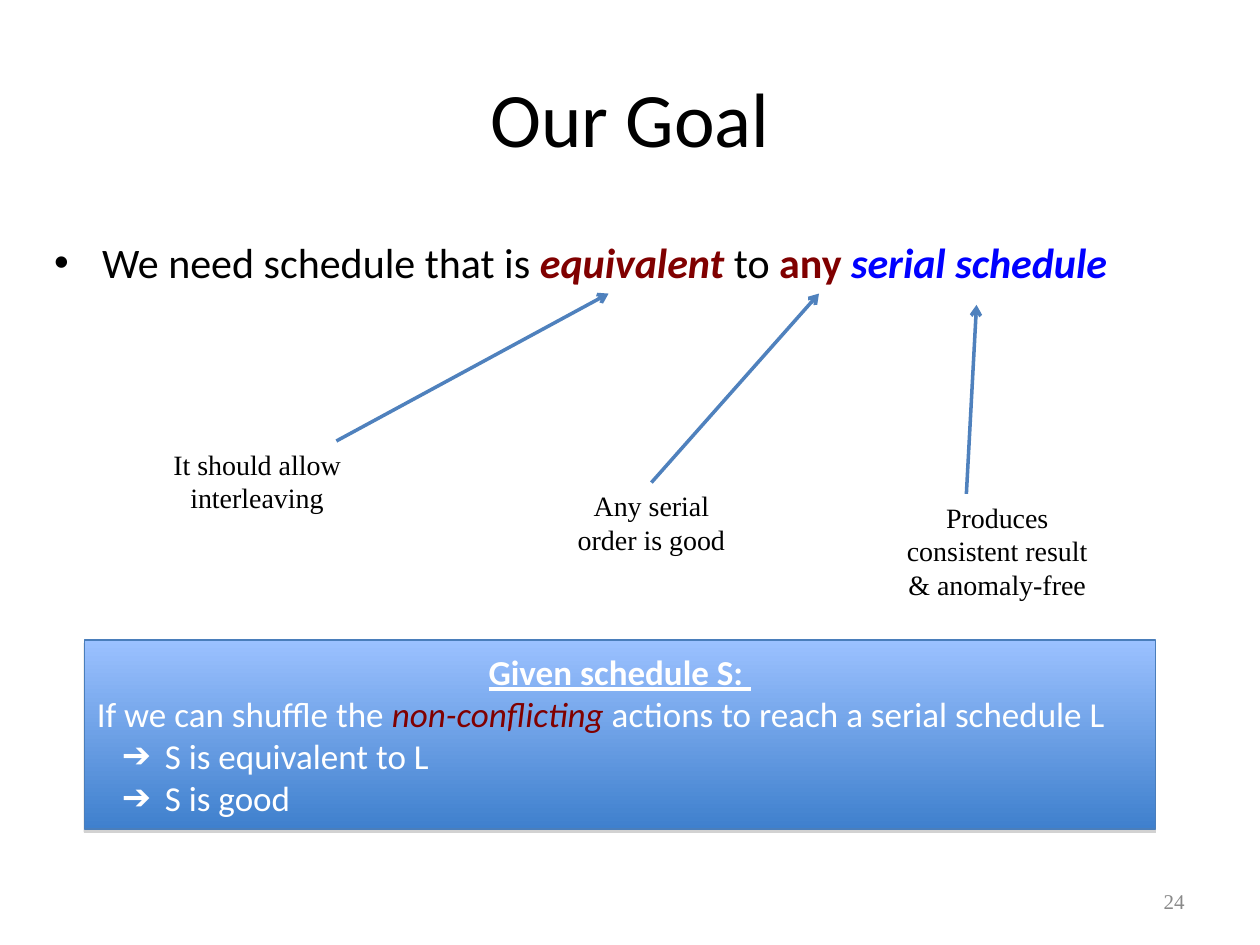
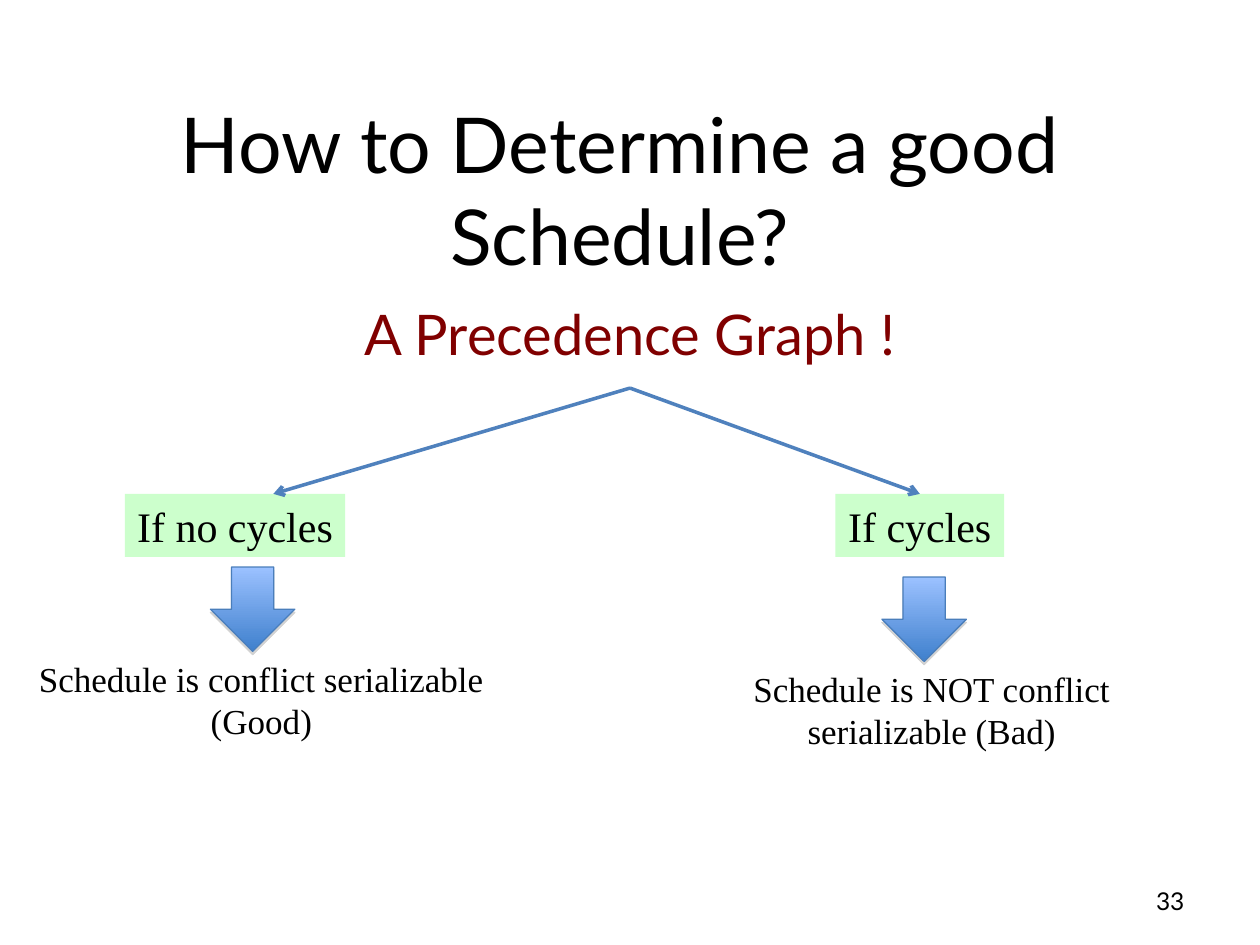
"""Build two slides on serializable schedules and the precedence graph."""
from dataclasses import dataclass

from lxml import etree
from pptx import Presentation
from pptx.dml.color import RGBColor
from pptx.enum.shapes import MSO_CONNECTOR, MSO_SHAPE
from pptx.enum.text import MSO_ANCHOR, MSO_AUTO_SIZE, PP_ALIGN
from pptx.oxml.ns import qn
from pptx.util import Inches, Pt

LEFT, CENTER, RIGHT = PP_ALIGN.LEFT, PP_ALIGN.CENTER, PP_ALIGN.RIGHT
TOP, MIDDLE = MSO_ANCHOR.TOP, MSO_ANCHOR.MIDDLE
FIXED_SIZE = MSO_AUTO_SIZE.NONE
STRAIGHT = MSO_CONNECTOR.STRAIGHT
RECTANGLE, DOWN_ARROW = MSO_SHAPE.RECTANGLE, MSO_SHAPE.DOWN_ARROW
TITLE_LAYOUT, CONTENT_LAYOUT = 0, 1


@dataclass(frozen=True)
class Theme:
    black: str = "000000"
    white: str = "FFFFFF"
    gray: str = "898989"
    maroon: str = "800000"
    blue: str = "0000FF"
    mint: str = "CCFFCC"
    arrow: str = "4F81BD"
    outline: str = "4A7EBB"
    gradient: tuple = ("9BC1FF", "3F80CD")
    shadow: str = "808080"
    serif: str = "Times New Roman"
    sans: str = "Calibri"
    display: str = "Lato"
    symbol: str = "Arial"
    title: int = 44
    subtitle: int = 32
    body: int = 24
    detail: int = 20
    note: int = 16
    number: int = 12
    large_number: int = 14


THEME = Theme()


class Deck:
    def __init__(self, theme):
        self.theme = theme
        self.presentation = Presentation()
        self.presentation.slide_width = Inches(10)
        self.presentation.slide_height = Inches(7.5)
        self.slide = None

    def add_slide(self, layout):
        layouts = self.presentation.slide_layouts
        self.slide = self.presentation.slides.add_slide(layouts[layout])

    def frame(self, shape, anchor=TOP, wrap=True):
        text_frame = shape.text_frame
        text_frame.word_wrap = wrap
        text_frame.auto_size = FIXED_SIZE
        text_frame.vertical_anchor = anchor
        text_frame.margin_left = text_frame.margin_right = Inches(0.1)
        text_frame.margin_top = text_frame.margin_bottom = Inches(0.05)
        return text_frame

    def add_runs(self, paragraph, parts, size, font, color, align=CENTER):
        paragraph.alignment = align
        for part in [parts] if isinstance(parts, str) else parts:
            text, style = (part, {}) if isinstance(part, str) else part
            run = paragraph.add_run()
            run.text = text
            run.font.size = Pt(size)
            run.font.name = font
            run.font.color.rgb = RGBColor.from_string(style.get("color", color))
            run.font.bold = style.get("bold", False)
            run.font.italic = style.get("italic", False)
            run.font.underline = style.get("underline", False)

    def bullet(self, paragraph, symbol, left, hanging):
        properties = paragraph._p.get_or_add_pPr()
        properties.set("marL", str(Inches(left)))
        properties.set("indent", str(-Inches(hanging)))
        etree.SubElement(properties, qn("a:buFont"), typeface=self.theme.symbol)
        etree.SubElement(properties, qn("a:buChar"), char=symbol)

    def placeholder(self, index, box, parts, size, font, color=THEME.black,
                    anchor=TOP, align=CENTER, before=0):
        shape = self.slide.placeholders[index]
        shape.left, shape.top, shape.width, shape.height = map(Inches, box)
        paragraph = self.frame(shape, anchor).paragraphs[0]
        self.add_runs(paragraph, parts, size, font, color, align)
        paragraph.space_before = Pt(before)
        return paragraph

    def title(self, box, text, font):
        self.placeholder(0, box, text, self.theme.title, font, anchor=MIDDLE)

    def text(self, box, text, size, font=THEME.serif, color=THEME.black,
             anchor=TOP, align=CENTER):
        shape = self.slide.shapes.add_textbox(*map(Inches, box))
        paragraph = self.frame(shape, anchor).paragraphs[0]
        self.add_runs(paragraph, text, size, font, color, align)

    def page_number(self, number, size, font, color):
        self.text((7.17, 6.95, 2.33, 0.4), number, size, font, color, MIDDLE, RIGHT)

    def arrow(self, start, end):
        points = map(Inches, (*start, *end))
        connector = self.slide.shapes.add_connector(STRAIGHT, *points)
        connector.line.color.rgb = RGBColor.from_string(self.theme.arrow)
        connector.line.width = Pt(2)
        properties = connector._element.spPr
        line = properties.find(qn("a:ln"))
        etree.SubElement(line, qn("a:tailEnd"), type="arrow")
        etree.SubElement(properties, qn("a:effectLst"))

    def label(self, box, text):
        shape = self.slide.shapes.add_shape(RECTANGLE, *map(Inches, box))
        shape.shadow.inherit = False
        shape.fill.solid()
        shape.fill.fore_color.rgb = RGBColor.from_string(self.theme.mint)
        shape.line.fill.background()
        paragraph = self.frame(shape, wrap=False).paragraphs[0]
        self.add_runs(paragraph, text, self.theme.body, self.theme.serif, self.theme.black)

    def gradient_shape(self, kind, box):
        shape = self.slide.shapes.add_shape(kind, *map(Inches, box))
        shape.fill.gradient()
        shape.fill.gradient_angle = 270
        for stop, color in zip(shape.fill.gradient_stops, self.theme.gradient):
            stop.color.rgb = RGBColor.from_string(color)
        shape.line.color.rgb = RGBColor.from_string(self.theme.outline)
        shape.line.width = Pt(0.75)
        shape.shadow.inherit = False
        effects = shape._element.spPr.find(qn("a:effectLst"))
        shadow = etree.SubElement(effects, qn("a:outerShdw"), blurRad="0",
                                  dist=str(Pt(1.8)), dir="5400000", rotWithShape="0")
        color = etree.SubElement(shadow, qn("a:srgbClr"), val=self.theme.shadow)
        etree.SubElement(color, qn("a:alpha"), val="35000")
        return shape


def build_goal(deck):
    theme = deck.theme
    deck.add_slide(CONTENT_LAYOUT)
    deck.title((0.5, 0.3, 9, 1.25), "Our Goal", theme.sans)
    goal = deck.placeholder(1, (0.33, 1.83, 9, 0.75), [
        "We need schedule that is ",
        ("equivalent", {"color": theme.maroon, "bold": True, "italic": True}),
        " to ",
        ("any ", {"color": theme.maroon, "bold": True}),
        ("serial schedule", {"color": theme.blue, "bold": True, "italic": True}),
    ], theme.body, theme.sans, align=LEFT, before=6)
    deck.bullet(goal, "•", 0.38, 0.38)
    deck.page_number("24", theme.number, theme.serif, theme.gray)

    notes = [
        ("It should allow interleaving", (0.83, 3.5, 2.42, 0.64), (2.67, 3.5), (4.83, 2.33)),
        ("Any serial order is good", (4.42, 3.83, 1.5, 0.64), (5.17, 3.83), (6.5, 2.33)),
        ("Produces consistent result & anomaly-free", (7, 3.92, 1.83, 0.9),
         (7.67, 3.92), (7.75, 2.42)),
    ]
    for text, box, start, end in notes:
        deck.arrow(start, end)
        deck.text(box, text, theme.note)

    panel = deck.gradient_shape(RECTANGLE, (0.67, 5.08, 8.5, 1.5))
    text_frame = deck.frame(panel, MIDDLE)
    style = (theme.detail, theme.sans, theme.white)
    heading = [("Given schedule S: ", {"bold": True, "underline": True})]
    deck.add_runs(text_frame.paragraphs[0], heading, *style)
    condition = [
        "If we can shuffle the ",
        ("non-conflicting ", {"color": theme.maroon, "italic": True}),
        "actions to reach a serial schedule L",
    ]
    deck.add_runs(text_frame.add_paragraph(), condition, *style, LEFT)
    for conclusion in ("S is equivalent to L", "S is good"):
        paragraph = text_frame.add_paragraph()
        deck.add_runs(paragraph, conclusion, *style, LEFT)
        deck.bullet(paragraph, "➔", 0.54, 0.34)


def build_precedence_graph(deck):
    theme = deck.theme
    deck.add_slide(TITLE_LAYOUT)
    deck.page_number("33", theme.large_number, theme.display, theme.black)
    deck.placeholder(1, (1.5, 2.33, 7, 0.75), "A Precedence Graph !",
                     theme.subtitle, theme.display, theme.maroon, before=8)
    deck.title((0.67, 0.75, 8.5, 1.5), "How to Determine a good Schedule?", theme.display)

    branches = [
        ("If no cycles", (0.99, 3.92, 1.75, 0.5), (2.17, 3.92), (1.67, 4.5),
         "Schedule is conflict serializable (Good)", 0.01),
        ("If cycles", (6.63, 3.92, 1.34, 0.5), (7.3, 3.92), (7, 4.58),
         "Schedule is NOT conflict serializable (Bad)", 5.33),
    ]
    arrow_size = 0.67
    for condition, box, end, (left, top), outcome, outcome_left in branches:
        deck.label(box, condition)
        deck.arrow((5, 3.08), end)
        deck.text((outcome_left, top + arrow_size, 4.13, 0.77), outcome, theme.detail)
        deck.gradient_shape(DOWN_ARROW, (left, top, arrow_size, arrow_size))


def main():
    deck = Deck(THEME)
    build_goal(deck)
    build_precedence_graph(deck)
    deck.presentation.save("out.pptx")


if __name__ == "__main__":
    main()
